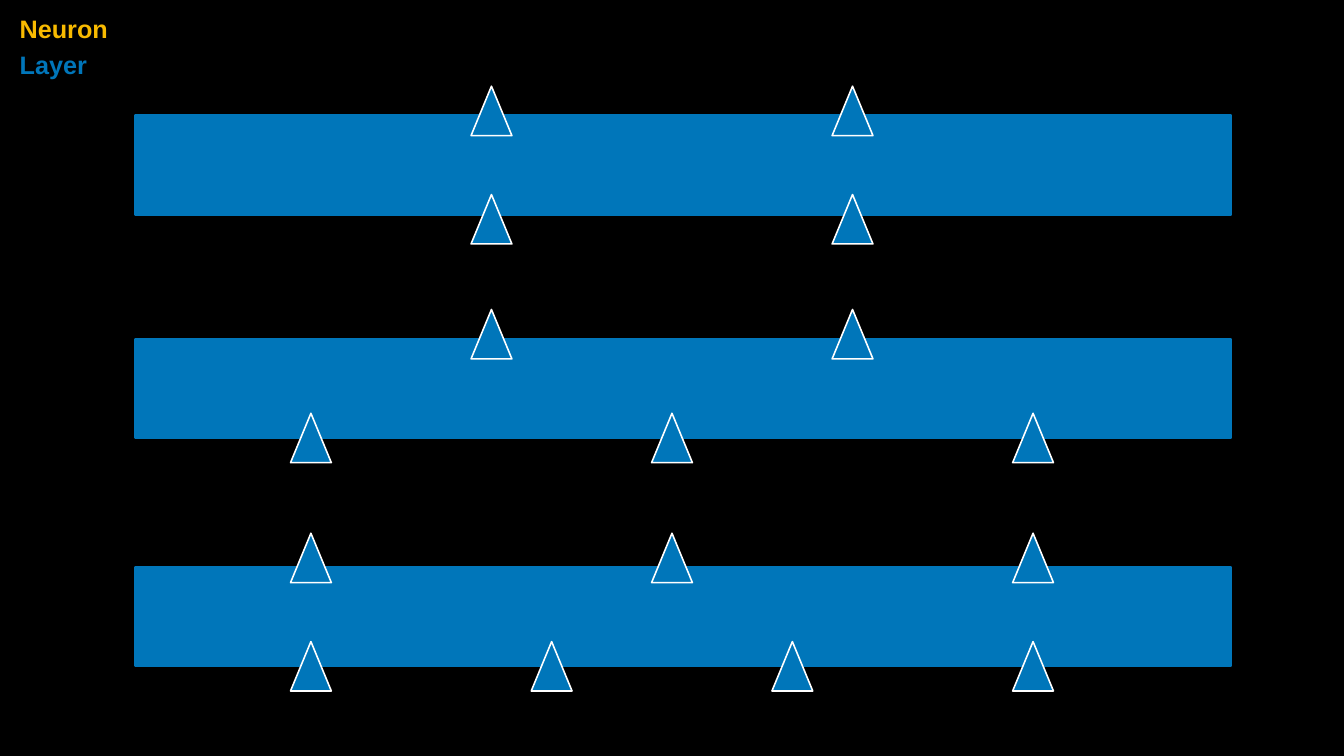
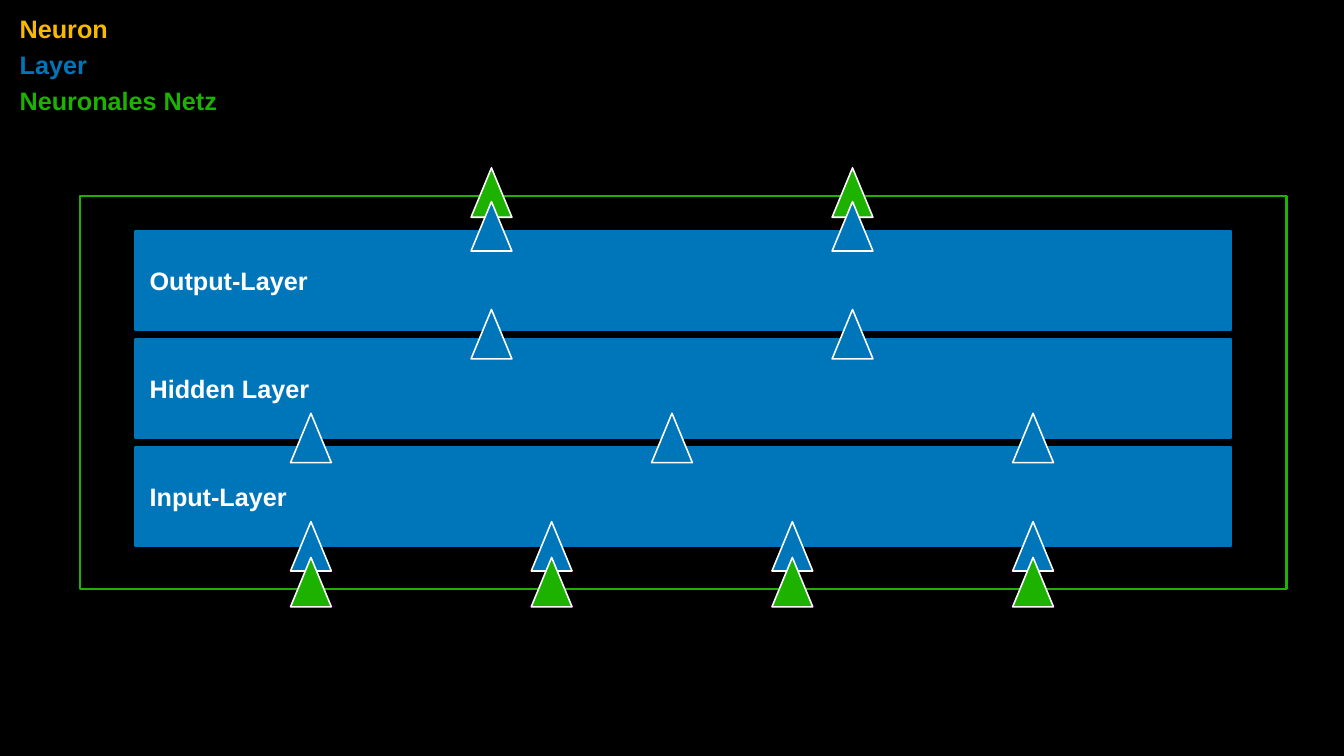
from dataclasses import dataclass

from pptx import Presentation
from pptx.dml.color import RGBColor
from pptx.enum.shapes import MSO_SHAPE
from pptx.enum.text import MSO_ANCHOR, MSO_AUTO_SIZE
from pptx.util import Pt

PX = 9144  # EMU per px, 100 px to the inch


@dataclass(frozen=True)
class Theme:
    background: RGBColor = RGBColor(0x00, 0x00, 0x00)
    white: RGBColor = RGBColor(0xFF, 0xFF, 0xFF)
    neuron: RGBColor = RGBColor(0xF8, 0xBA, 0x00)
    layer: RGBColor = RGBColor(0x00, 0x76, 0xBA)
    net: RGBColor = RGBColor(0x1D, 0xB1, 0x00)
    font: str = "Arial"
    text_size: float = 36
    box_line: float = 3
    triangle_line: float = 2.25


T = Theme()

# Content: legend entries as (text, colour, width)
LEGEND = [("Neuron", T.neuron, 309), ("Layer", T.layer, 309),
          ("Neuronales Netz", T.net, 446)]

# Layers as (band top, rows of triangles as (count, top), grouped)
SEPARATE_LAYERS = [
    (672, [(3, 820), (2, 614)], False),
    (1125, [(4, 1273), (3, 1058)], True),
    (229, [(2, 386), (2, 171)], True),
]
STACKED_LAYERS = [
    (672, [], False),
    (887, [(4, 1035), (3, 820)], True),
    (458, [(2, 614), (2, 400)], True),
]
LAYER_NAMES = [("Output-Layer", 458), ("Hidden Layer", 672), ("Input-Layer", 887)]
NET_OUTPUTS, NET_INPUTS = (2, 333), (4, 1106)

# Geometry
SLIDE_W, SLIDE_H = 2667, 1500
BAND_X, BAND_W, BAND_H = 269, 2173, 197
NET_FRAME = (159, 389, 2394, 780)
TRIANGLE_W, TRIANGLE_H = 81, 98
TRIANGLE_SPAN = 1433
TEXT_H, TEXT_INSET = 72, 6
LEGEND_X, LEGEND_Y = 33, 20
NAME_X, NAME_DY, NAME_W = 291, 62, 419


def add_box(shapes, kind, box, fill, line, width):
    sp = shapes.add_shape(kind, *(round(v * PX) for v in box))
    sp.shadow.inherit = False
    if fill is None:
        sp.fill.background()
    else:
        sp.fill.solid()
        sp.fill.fore_color.rgb = fill
    sp.line.color.rgb = line
    sp.line.width = Pt(width)


def add_triangles(shapes, count, top, color):
    """Centre a row on the slide; two triangles keep the pitch of three."""
    pitch = TRIANGLE_SPAN / (max(count, 3) - 1)
    first = (SLIDE_W - TRIANGLE_W - pitch * (count - 1)) / 2
    for i in range(count):
        add_box(shapes, MSO_SHAPE.ISOSCELES_TRIANGLE,
                (first + i * pitch, top, TRIANGLE_W, TRIANGLE_H),
                color, T.white, T.triangle_line)


def add_layers(s, layers):
    for top, rows, grouped in layers:
        shapes = s.shapes.add_group_shape().shapes if grouped else s.shapes
        add_box(shapes, MSO_SHAPE.RECTANGLE, (BAND_X, top, BAND_W, BAND_H),
                T.layer, T.layer, T.box_line)
        for count, row_top in rows:
            add_triangles(shapes, count, row_top, T.layer)


def add_text(s, text, color, x, y, w):
    sp = s.shapes.add_textbox(x * PX, y * PX, w * PX, TEXT_H * PX)
    tf = sp.text_frame
    tf.word_wrap = True
    tf.auto_size = MSO_AUTO_SIZE.SHAPE_TO_FIT_TEXT
    tf.vertical_anchor = MSO_ANCHOR.MIDDLE
    tf.margin_left = tf.margin_right = TEXT_INSET * PX
    tf.margin_top = tf.margin_bottom = TEXT_INSET * PX
    p = tf.paragraphs[0]
    p.text = text
    p.font.name, p.font.size, p.font.bold = T.font, Pt(T.text_size), True
    p.font.color.rgb = color


def add_legend(s, entries):
    for i, (text, color, width) in enumerate(entries):
        add_text(s, text, color, LEGEND_X, LEGEND_Y + i * TEXT_H, width)


def build_layers_slide(s):
    add_legend(s, LEGEND[:2])
    add_layers(s, SEPARATE_LAYERS)


def build_net_slide(s):
    # Net frame and its outputs lie behind the layers
    add_box(s.shapes, MSO_SHAPE.RECTANGLE, NET_FRAME, None, T.net, T.box_line)
    add_triangles(s.shapes, *NET_OUTPUTS, T.net)
    add_legend(s, LEGEND)
    add_layers(s, STACKED_LAYERS)
    for name, band_top in LAYER_NAMES:
        add_text(s, name, T.white, NAME_X, band_top + NAME_DY, NAME_W)
    # Net inputs lie in front
    add_triangles(s.shapes, *NET_INPUTS, T.net)


def main():
    prs = Presentation()
    prs.slide_width, prs.slide_height = SLIDE_W * PX, SLIDE_H * PX
    background = prs.slide_master.background.fill
    background.solid()
    background.fore_color.rgb = T.background
    blank = prs.slide_layouts[6]
    for build in (build_layers_slide, build_net_slide):
        build(prs.slides.add_slide(blank))
    prs.save("out.pptx")


if __name__ == "__main__":
    main()
